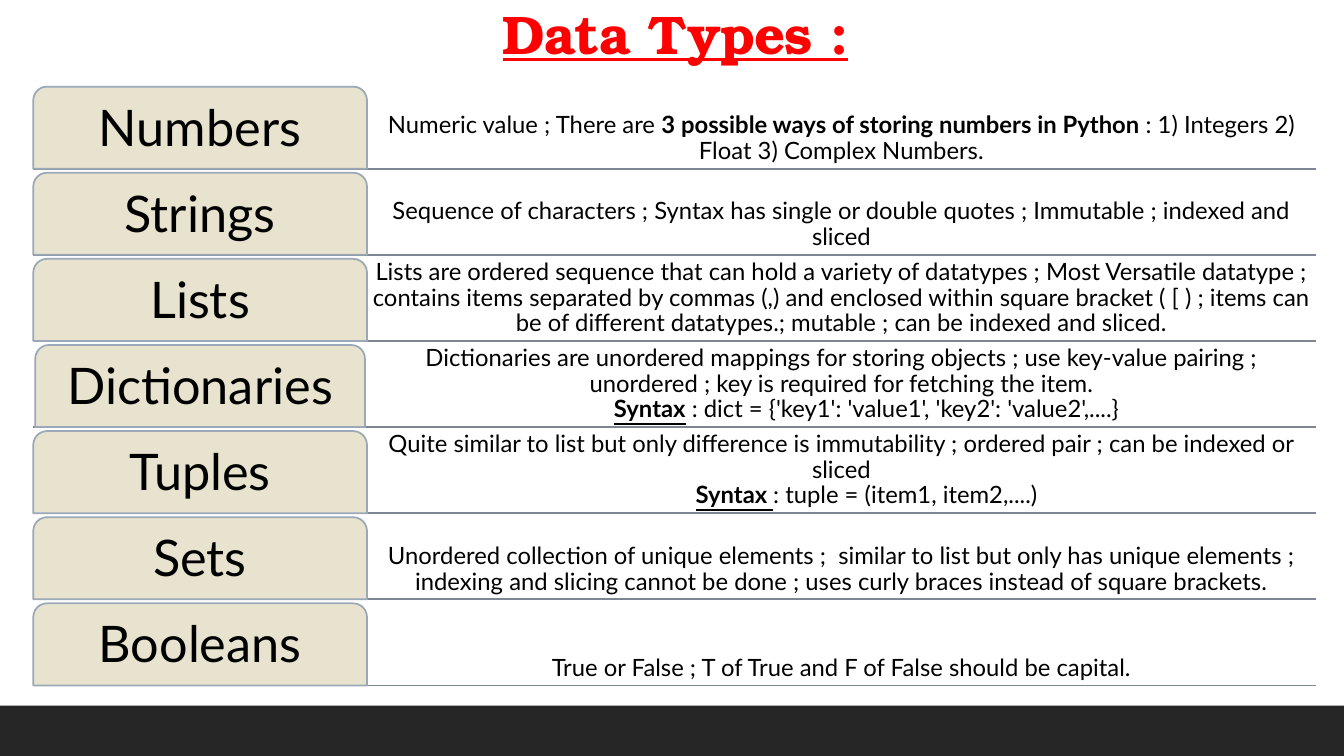
from collections import namedtuple

from pptx import Presentation
from pptx.dml.color import RGBColor
from pptx.enum.shapes import MSO_CONNECTOR, MSO_SHAPE
from pptx.enum.text import MSO_ANCHOR, PP_ALIGN
from pptx.oxml.ns import qn
from pptx.util import Inches, Pt
from lxml.etree import SubElement

COLORS = {
    "title": "FF0000",
    "text": "000000",
    "tab": "E8E3CE",
    "tab_edge": "9BA8B7",
    "rule": "7C8793",
    "footer": "262626",
}
BODY_FONT, TITLE_FONT = "Lato", "TeX Gyre Bonum"
Box = namedtuple("Box", "left top width height")

# Each type has lines, and each line has spans of (text, bold, underline)
DATA_TYPES = [
    ("Numbers", [[("Numeric value ; There are ", False, False),
                  ("3 possible ways of storing numbers in Python ", True, False),
                  (": 1) Integers 2) Float 3) Complex Numbers.", False, False)]]),
    ("Strings", [[("Sequence of characters ; Syntax has single or double quotes ; "
                   "Immutable ; indexed and sliced", False, False)]]),
    ("Lists", [[("Lists are ordered sequence that can hold a variety of datatypes ; "
                 "Most Versatile datatype ; contains items separated by commas (,) and "
                 "enclosed within square bracket ( [ ) ; items can be of different "
                 "datatypes.; mutable ; can be indexed and sliced.", False, False)]]),
    ("Dictionaries", [[("Dictionaries are unordered mappings for storing objects ; use "
                        "key-value pairing ; unordered ; key is required for fetching "
                        "the item.", False, False)],
                      [("\t", False, False), ("Syntax", True, True),
                       (" : dict = {'key1': 'value1', 'key2': 'value2',....}", False, False)]]),
    ("Tuples", [[("Quite similar to list but only difference is immutability ; ordered "
                  "pair ; can be indexed or sliced", False, False)],
                [("\t", False, False), ("Syntax ", True, True),
                 (": tuple = (item1, item2,....)", False, False)]]),
    ("Sets", [[("Unordered collection of unique elements ;  similar to list but only has "
                "unique elements ; indexing and slicing cannot be done ; uses curly braces "
                "instead of square brackets.", False, False)]]),
    ("Booleans", [[("True or False ; T of True and F of False should be capital.",
                    False, False)]]),
]


def color(name):
    return RGBColor.from_string(COLORS[name])


def place(box):
    return [Inches(length) for length in box]


def add_filled(page, kind, box, fill, edge=None):
    shape = page.shapes.add_shape(kind, *place(box))
    shape.shadow.inherit = False
    shape.fill.solid()
    shape.fill.fore_color.rgb = color(fill)
    if edge:
        shape.line.color.rgb = color(edge)
        shape.line.width = Pt(1.25)
    else:
        shape.line.fill.background()
    return shape


def add_text(page, box, lines, size, anchor, inset, spacing=0.9,
             font=BODY_FONT, ink="text"):
    frame = page.shapes.add_textbox(*place(box)).text_frame
    frame.word_wrap = True
    frame.vertical_anchor = anchor
    frame.margin_left = frame.margin_right = Inches(inset)
    frame.margin_top = frame.margin_bottom = Inches(inset)
    para = frame.paragraphs[0]
    para.alignment = PP_ALIGN.CENTER
    para.line_spacing = spacing
    para.font.size = Pt(size)
    para.font.name = font
    para.font.color.rgb = color(ink)
    for index, line in enumerate(lines):
        if index:
            para.add_line_break()
        for text, bold, underline in line:
            span = para.add_run()
            span.text = text
            # Runs carry the look too, so that every renderer honours it
            span.font.size = Pt(size)
            span.font.name = font
            span.font.color.rgb = color(ink)
            span.font.bold = bold
            span.font.underline = underline
    return para


def add_title(page, box):
    para = add_text(page, box, [[("Data Types :", True, True)]], 38.8,
                    MSO_ANCHOR.MIDDLE, 0.05, 0.7, TITLE_FONT, "title")
    para.runs[0].font._element.set("spc", "-50")


def add_rule(page, left, right, y):
    rule = page.shapes.add_connector(
        MSO_CONNECTOR.STRAIGHT, *place((left, y, right, y)))
    rule.line.color.rgb = color("rule")
    rule.line.width = Pt(1.25)
    SubElement(rule._element.spPr, qn("a:effectLst"))


def add_type_row(page, box, name, lines):
    tab_width, pad = 3.31, 0.04
    add_rule(page, box.left, box.left + box.width, box.top + box.height)

    # Description beside the tab
    add_text(page, Box(box.left + tab_width, box.top, box.width - tab_width, box.height),
             lines, 17, MSO_ANCHOR.BOTTOM, 0.04)

    # Name tab; the longest name has a slightly narrower one
    trim = 0.02 if name == "Dictionaries" else 0
    tab = Box(box.left + trim, box.top, tab_width - 2 * trim, box.height)
    add_filled(page, MSO_SHAPE.ROUND_2_SAME_RECTANGLE, tab, "tab", "tab_edge")
    add_text(page, Box(tab.left + pad, tab.top + pad, tab.width - 2 * pad, tab.height - pad),
             [[(name, False, False)]], 36, MSO_ANCHOR.MIDDLE, 0.09)


def add_type_list(page, box):
    gap = 0.04
    row_height = (box.height + gap) / len(DATA_TYPES) - gap
    for index, (name, lines) in enumerate(DATA_TYPES):
        top = box.top + index * (row_height + gap)
        add_type_row(page, Box(box.left, top, box.width, row_height), name, lines)


deck = Presentation()
deck.slide_width, deck.slide_height = Inches(13.33), Inches(7.5)
page = deck.slides.add_slide(deck.slide_layouts[6])

add_filled(page, MSO_SHAPE.RECTANGLE, Box(0, 7, 13.33, 0.5), "footer")
add_title(page, Box(1.2, 0.12, 11, 0.57))
add_type_list(page, Box(0.33, 0.86, 12.72, 5.94))

deck.save("out.pptx")
